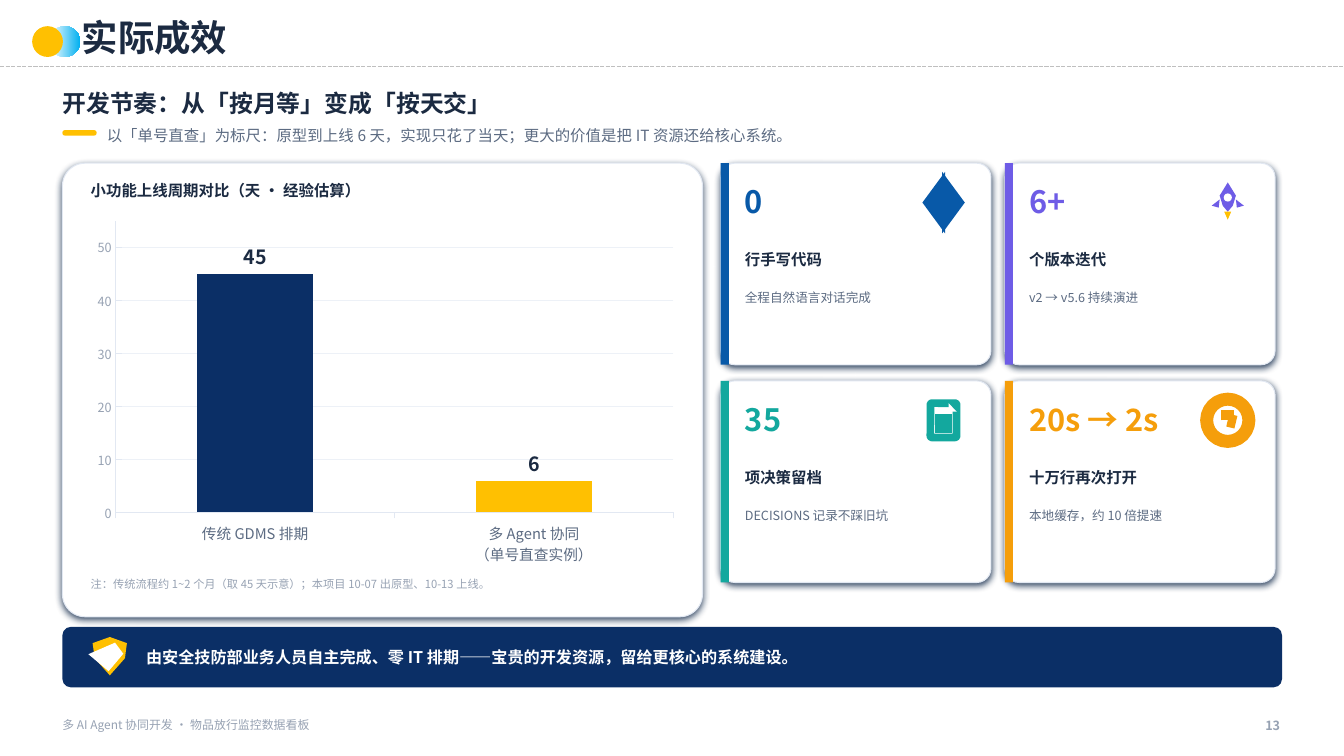
from lxml import etree
from pptx import Presentation
from pptx.chart.data import CategoryChartData
from pptx.dml.color import RGBColor
from pptx.enum import chart as ch, dml, shapes, text
from pptx.oxml import ns
from pptx.util import Pt

FONT = "Noto Sans CJK SC"
HUES = {
    "ink": "1B2A41", "slate": "5C6B82", "mute": "97A2B3", "white": "FFFFFF",
    "edge": "E2E8F2", "grid": "EDF1F7", "rule": "BFBFBF", "shade": "0F2747",
    "navy": "0B2F66", "gold": "FFC001", "sky": "01B0F0", "blue": "0859A8",
    "violet": "6E5CE6", "teal": "13A89E", "amber": "F59E0B",
}
KINDS = shapes.MSO_SHAPE


def rgb(hue):
    return RGBColor.from_string(HUES[hue])


def style(font, size, hue, bold=False):
    font.name, font.size, font.bold = FONT, Pt(size), bold
    font.color.rgb = rgb(hue)


def write(box, words, size, hue, bold=False, gap=None, right=False, mid=False):
    """Fill a box with one formatted paragraph and no margins."""
    frame = box.text_frame
    frame.word_wrap = True
    frame.auto_size = text.MSO_AUTO_SIZE.SHAPE_TO_FIT_TEXT
    frame.margin_left = frame.margin_right = Pt(0)
    frame.margin_top = frame.margin_bottom = Pt(0)
    frame.vertical_anchor = text.MSO_ANCHOR.MIDDLE if mid else text.MSO_ANCHOR.TOP
    frame.text = words
    para = frame.paragraphs[0]
    para.alignment = text.PP_ALIGN.RIGHT if right else text.PP_ALIGN.LEFT
    if gap:
        para.line_spacing = gap
    run = para.runs[0]
    style(run.font, size, hue, bold)
    etree.SubElement(run._r.get_or_add_rPr(), ns.qn("a:ea"), typeface=FONT)


def label(slide, at, *args, **opts):
    write(slide.shapes.add_textbox(*map(Pt, at)), *args, **opts)


def paint(shape, fill=None, line=None, width=0.75):
    shape.shadow.inherit = False
    if fill:
        shape.fill.solid()
        shape.fill.fore_color.rgb = rgb(fill)
    else:
        shape.fill.background()
    if line:
        shape.line.color.rgb = rgb(line)
        shape.line.width = Pt(width)
    else:
        shape.line.fill.background()


def block(slide, kind, at, fill=None, line=None, width=0.75, bend=None):
    shape = slide.shapes.add_shape(kind, *map(Pt, at))
    if bend is not None:
        shape.adjustments[0] = bend
    paint(shape, fill, line, width)
    return shape


def outline(slide, dots, fill=None, line=None, width=0.75):
    first, *rest = [(Pt(x), Pt(y)) for x, y in dots]
    pen = slide.shapes.build_freeform(*first)
    pen.add_line_segments(rest, close=True)
    shape = pen.convert_to_shape()
    paint(shape, fill, line, width)
    if line:
        etree.SubElement(shape.line._get_or_add_ln(), ns.qn("a:miter"), lim="800000")


def stroke(slide, x1, y1, x2, y2, hue, width):
    line = slide.shapes.add_connector(
        shapes.MSO_CONNECTOR.STRAIGHT, Pt(x1), Pt(y1), Pt(x2), Pt(y2))
    line.line.color.rgb = rgb(hue)
    line.line.width = Pt(width)
    etree.SubElement(line._element.spPr, ns.qn("a:effectLst"))
    return line


def panel(slide, at, bend):
    """White rounded card with a soft shadow below."""
    card = block(slide, KINDS.ROUNDED_RECTANGLE, at, "white", "edge", bend=bend)
    effect = card._element.spPr.find(ns.qn("a:effectLst"))
    shade = etree.SubElement(
        effect, ns.qn("a:outerShdw"), blurRad=str(Pt(5)), dist=str(Pt(1.8)),
        dir="5400000", algn="bl", rotWithShape="0")
    tint = etree.SubElement(shade, ns.qn("a:srgbClr"), val=HUES["shade"])
    etree.SubElement(tint, ns.qn("a:alpha"), val="84000")


# Icons are drawn around the centre (x, y).
def code(slide, x, y, hue):
    for side in (-1, 1):
        dots = [(x + side * dx, y + dy) for dx, dy in ((3.6, -7.9), (9.4, 0), (3.6, 7.9))]
        outline(slide, dots, line=hue, width=9.25)
    stroke(slide, x + 2.2, y - 9.4, x - 2.2, y + 9.4, hue, 9.25)


def rocket(slide, x, y, hue):
    def part(dots, fill):
        outline(slide, [(x + dx, y + dy) for dx, dy in dots], fill)

    part([(0, -14.4), (5.8, -5), (3.6, 2.2), (0, 6.5), (-3.6, 2.2), (-5.8, -5)], hue)
    block(slide, KINDS.OVAL, (x - 2.9, y - 6.5, 5.8, 5.8), "white")
    for side in (-1, 1):
        part([(side * 5.8, -2.2), (side * 11.5, 2.2), (side * 6.5, 3.6)], hue)
    part([(-2.5, 6.5), (0, 12.2), (2.5, 6.5)], "gold")


def sheet(slide, x, y, hue):
    block(slide, KINDS.ROUNDED_RECTANGLE, (x - 9.4, y - 12.2, 18.7, 24.5),
          line=hue, width=5.54, bend=0.06)
    left, right, top, low = x + 3.6, x + 9.4, y - 12.2, y - 6.1
    outline(slide, [(left, top), (right, top), (right, low)], hue)
    outline(slide, [(left, top), (right, low), (left, low)], "white")
    for row in range(3):
        level = y - 1.6 + row * 4
        stroke(slide, x - 5.8, level, x + 5.8, level, hue, 5.08)


def clock(slide, x, y, hue):
    block(slide, KINDS.OVAL, (x - 15.1, y - 15.1, 30.2, 30.2), line=hue, width=9.25)
    stroke(slide, x, y, x, y - 7.2, hue, 9.25)
    stroke(slide, x, y, x + 5.8, y + 1.4, hue, 9.25)


def tile(slide, x, y, hue, icon, value, head, note):
    panel(slide, (x, y, 193, 144), 0.07)
    block(slide, KINDS.RECTANGLE, (x, y, 5.8, 144), hue)
    icon(slide, x + 159.2, y + 28.1, hue)
    left = x + 17.3
    label(slide, (left, y + 15.8, 133.2, 39.6), value, 22, hue, True, gap=0.95)
    label(slide, (left, y + 61.9, 165.6, 23), head, 11, "ink", True)
    label(slide, (left, y + 89.3, 165.6, 43.2), note, 9, "slate", gap=1.1)


def graph(slide):
    data = CategoryChartData()
    data.categories = ["传统 GDMS 排期", "多 Agent 协同\n（单号直查实例）"]
    data.add_series("Series 1", (45, 6))
    chart = slide.shapes.add_chart(
        ch.XL_CHART_TYPE.COLUMN_CLUSTERED, Pt(61.2), Pt(152.6), Pt(428.4), Pt(255.6),
        data).chart
    chart.has_legend = chart.has_title = False
    style(chart.font, 18, "ink")
    plot = chart.plots[0]
    plot.gap_width, plot.vary_by_categories = 140, False
    for spot, hue in enumerate(("navy", "gold")):
        fill = plot.series[0].points[spot].format.fill
        fill.solid()
        fill.fore_color.rgb = rgb(hue)
    plot.has_data_labels = True
    tags = plot.data_labels
    tags.show_value, tags.position = True, ch.XL_LABEL_POSITION.OUTSIDE_END
    tags.number_format, tags.number_format_is_linked = "0", False
    style(tags.font, 14, "ink", True)
    cats, vals = chart.category_axis, chart.value_axis
    for axis, size, hue in ((cats, 10.5, "slate"), (vals, 9, "mute")):
        style(axis.tick_labels.font, size, hue)
        axis.format.line.color.rgb = rgb("edge")
        axis.format.line.width = Pt(0.75)
    cats.major_tick_mark = ch.XL_TICK_MARK.OUTSIDE
    vals.major_tick_mark = ch.XL_TICK_MARK.INSIDE
    vals.minimum_scale, vals.maximum_scale, vals.major_unit = 0, 55, 10
    vals.major_gridlines.format.line.color.rgb = rgb("grid")
    vals.major_gridlines.format.line.width = Pt(0.5)


def header(slide):
    rule = stroke(slide, 0, 47.5, 960, 47.5, "rule", 1)
    rule.line.dash_style = dml.MSO_LINE.SQUARE_DOT
    fill = block(slide, KINDS.OVAL, (35.3, 18.7, 22, 22), "sky").fill
    fill.gradient()
    fill.gradient_angle = 0
    for stop, hue in zip(fill.gradient_stops, ("white", "sky")):
        stop.color.rgb = rgb(hue)
    block(slide, KINDS.OVAL, (23, 18.7, 22, 22), "gold")
    title = slide.shapes.title
    title.left, title.top, title.width, title.height = map(Pt, (58.3, 8.6, 576, 36))
    write(title, "实际成效", 26, "ink", True, mid=True)
    label(slide, (44.6, 59, 871.2, 28.8), "开发节奏：从「按月等」变成「按天交」",
          17, "ink", True, mid=True)
    block(slide, KINDS.ROUNDED_RECTANGLE, (44.6, 92.9, 24.5, 4), "gold", bend=0.5)
    label(slide, (76.3, 86.4, 835.2, 20.2),
          "以「单号直查」为标尺：原型到上线 6 天，实现只花了当天；更大的价值是把 IT 资源还给核心系统。",
          11, "slate", mid=True)


def banner(slide):
    block(slide, KINDS.ROUNDED_RECTANGLE, (44.6, 447.8, 871.2, 43.2), "navy", bend=0.14)
    outline(slide, [(78.5, 455), (90.7, 459.4), (89.3, 470.2), (78.5, 482.4),
                    (67.7, 470.2), (66.2, 459.4)], "gold")
    outline(slide, [(72.7, 468.7), (77, 472.3), (84.2, 463.7)], line="white", width=10.16)
    label(slide, (104.4, 447.8, 792, 43.2),
          "由安全技防部业务人员自主完成、零 IT 排期——宝贵的开发资源，留给更核心的系统建设。",
          11.5, "white", True, mid=True)


def main():
    deck = Presentation()
    deck.slide_width, deck.slide_height = Pt(960), Pt(540)
    slide = deck.slides.add_slide(deck.slide_layouts[5])
    header(slide)
    panel(slide, (44.6, 116.6, 457.2, 324), 0.05)
    label(slide, (64.8, 129.6, 417.6, 21.6), "小功能上线周期对比（天 · 经验估算）", 11, "ink", True)
    graph(slide)
    label(slide, (64.8, 411.8, 424.8, 23),
          "注：传统流程约 1~2 个月（取 45 天示意）；本项目 10-07 出原型、10-13 上线。",
          8, "mute", gap=1.05)
    tiles = [
        ("blue", code, "0", "行手写代码", "全程自然语言对话完成"),
        ("violet", rocket, "6+", "个版本迭代", "v2 → v5.6 持续演进"),
        ("teal", sheet, "35", "项决策留档", "DECISIONS 记录不踩旧坑"),
        ("amber", clock, "20s → 2s", "十万行再次打开", "本地缓存，约 10 倍提速"),
    ]
    for spot, item in enumerate(tiles):
        row, col = divmod(spot, 2)
        tile(slide, 514.8 + col * 203, 116.6 + row * 155.5, *item)
    banner(slide)
    label(slide, (44.6, 512.6, 540, 20.2), "多 AI Agent 协同开发 · 物品放行监控数据看板", 8.5, "mute")
    label(slide, (856.8, 512.6, 57.6, 20.2), "13", 9, "mute", True, right=True)
    deck.save("out.pptx")


if __name__ == "__main__":
    main()
